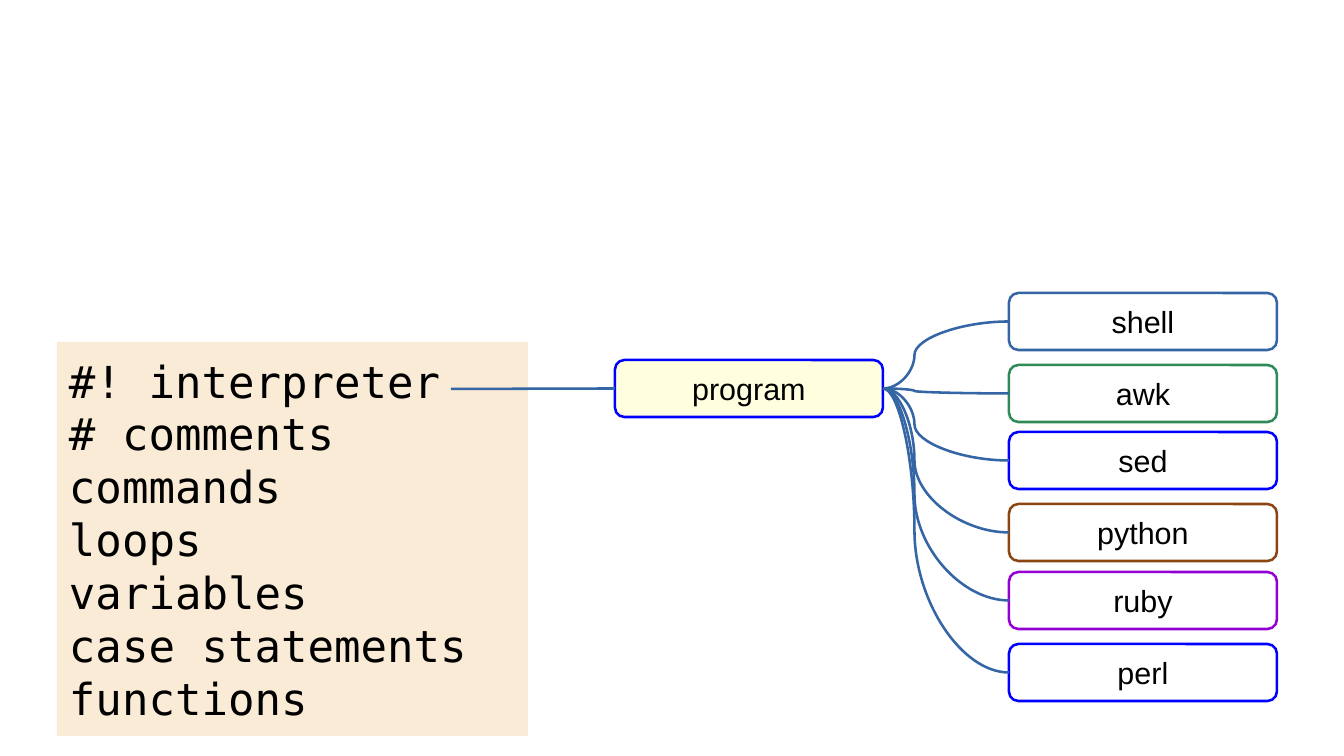
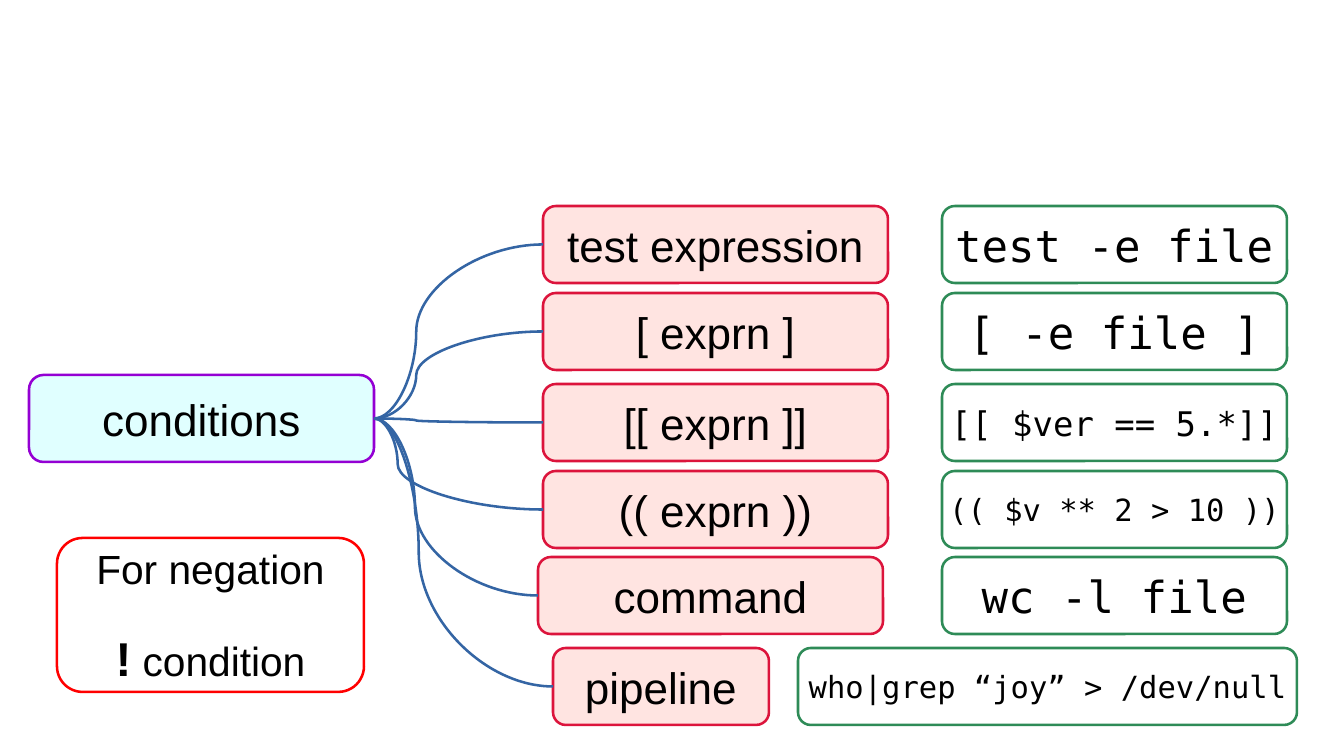
import pptx
import pptx.util
import pptx.dml.color
import pptx.enum.shapes
import pptx.enum.text
import pptx.oxml
import pptx.oxml.ns

PX = 914400 / 122
SANS, MONO = "Arial", "DejaVu Sans Mono"
BLACK, BLUE, LINK = "000000", "0000FF", "3465A4"
GREEN, BROWN, VIOLET = "2E8B57", "8B4513", "9400D3"
RED, CRIMSON, ROSE = "FF0000", "DC143C", "FFE4E1"
LINEN, IVORY, CYAN = "FAEBD7", "FFFFE0", "E0FFFF"
LEFT, RIGHT = 1, 3
SHAPE = pptx.enum.shapes.MSO_SHAPE
CONNECTOR = pptx.enum.shapes.MSO_CONNECTOR
ALIGN = pptx.enum.text.PP_ALIGN


def px(n):
    """Turn pixels into EMU."""
    return pptx.util.Emu(round(n * PX))


def paint(target, colour):
    """Set a fill, or leave it open when no colour is given."""
    if colour is None:
        target.background()
    else:
        target.solid()
        target.fore_color.rgb = pptx.dml.color.RGBColor.from_string(colour)


def outline(line, colour):
    """Give a line its colour and the shared width, or hide it."""
    paint(line.fill, colour)
    if colour is not None:
        line.width = pptx.util.Pt(1.5)


def add_run(p, text, size, font=SANS, bold=False):
    """Add one formatted run to a paragraph."""
    r = p.add_run()
    r.text = text
    r.font.name, r.font.size, r.font.bold = font, pptx.util.Pt(size), bold
    paint(r.font.fill, BLACK)


def panel(s, kind, box, line, fill, insets, wrap):
    """Add a shape without text and set up its text frame."""
    sp = s.shapes.add_shape(kind, *[px(n) for n in box])
    sp.shadow.inherit = False
    paint(sp.fill, fill)
    outline(sp.line, line)
    tf = sp.text_frame
    tf.word_wrap = wrap
    tf.vertical_anchor = pptx.enum.text.MSO_ANCHOR.MIDDLE
    tf.margin_left = tf.margin_right = px(insets[0])
    tf.margin_top = tf.margin_bottom = px(insets[1])
    return sp


def node(s, box, paragraphs, line, fill=None, gap=0):
    """Add a rounded box whose centred paragraphs are lists of runs."""
    sp = panel(s, SHAPE.ROUNDED_RECTANGLE, box, line, fill, (13, 7), False)
    tf = sp.text_frame
    for i, runs in enumerate(paragraphs):
        p = tf.add_paragraph() if i else tf.paragraphs[0]
        p.alignment = ALIGN.CENTER
        p.space_before = pptx.util.Pt(gap if i else 0)
        for run in runs:
            add_run(p, *run)
    return sp


def code_pane(s, box, lines):
    """Add the tinted pane that lists the parts of a script."""
    sp = panel(s, SHAPE.RECTANGLE, box, None, LINEN, (12, 6), True)
    tf = sp.text_frame
    for i, text in enumerate(lines):
        p = tf.add_paragraph() if i else tf.paragraphs[0]
        p.alignment = ALIGN.LEFT
        add_run(p, text, 26, MONO)


def connector(s, kind, x=0, y=0):
    """Add a styled connector that starts at a point."""
    c = s.shapes.add_connector(kind, px(x), px(y), px(x), px(y))
    outline(c.line, LINK)
    c._element.spPr.append(pptx.oxml.parse_xml(
        "<a:effectLst %s/>" % pptx.oxml.ns.nsdecls("a")))
    return c


def branch(s, root, leaf, bend=25):
    """Join root to leaf by a curve that bends at a percentage of its width."""
    c = connector(s, CONNECTOR.CURVE)
    c.begin_connect(root, RIGHT)
    c.end_connect(leaf, LEFT)
    geom = c._element.spPr.find(pptx.oxml.ns.qn("a:prstGeom"))
    for old in list(geom):
        geom.remove(old)
    geom.append(pptx.oxml.parse_xml(
        '<a:avLst %s><a:gd name="adj1" fmla="val %d"/></a:avLst>'
        % (pptx.oxml.ns.nsdecls("a"), bend * 1000)))


def interpreter_tree(s, box, root, leaves):
    """Place one leaf per interpreter in the box and join each to root."""
    x, y, w, h = box
    for top, name, colour in leaves:
        leaf = node(s, (x, y + top, w, h), [[(name, 18)]], colour)
        branch(s, root, leaf)


def condition_tree(s, box, root, rows):
    """Place each kind of condition with its example and join it to root."""
    x, y, w, h = box
    for top, name, shift, width, bend, example, size, ex_x, ex_w in rows:
        leaf = node(s, (x + shift, y + top, width, h), [[(name, 26)]],
                    CRIMSON, ROSE)
        node(s, (x + ex_x, y + top, ex_w, h), [[(example, size, MONO)]], GREEN)
        branch(s, root, leaf, bend)


def script_slide(s):
    """Show the parts of a script and the programs that can run it."""
    code_pane(s, (57, 342, 471, 394), [
        "#! interpreter", "# comments", "commands", "loops", "variables",
        "case statements", "functions"])
    program = node(s, (615, 360, 268, 57), [[("program", 18)]], BLUE, IVORY)
    c = connector(s, CONNECTOR.STRAIGHT, 451, 389)
    c.end_connect(program, LEFT)
    interpreter_tree(s, (1009, 293, 268, 57), program, [
        (0, "shell", LINK), (72, "awk", GREEN), (139, "sed", BLUE),
        (211, "python", BROWN), (279, "ruby", VIOLET), (351, "perl", BLUE)])


def conditions_slide(s):
    """Show the kinds of conditions, an example of each, and negation."""
    root = node(s, (29, 375, 345, 87), [[("conditions", 26)]], VIOLET, CYAN)
    condition_tree(s, (543, 206, 345, 77), root, [
        (0, "test expression", 0, 345, 25, "test -e file", 26, 399, 345),
        (87, "[ exprn ]", 0, 345, 25, "[ -e file ]", 26, 399, 345),
        (178, "[[ exprn ]]", 0, 345, 25, "[[ $ver == 5.*]]", 20, 399, 345),
        (265, "(( exprn ))", 0, 345, 14, "(( $v ** 2 > 10 ))", 18, 399, 345),
        (351, "command", -5, 345, 25, "wc -l file", 26, 399, 345),
        (442, "pipeline", 10, 216, 25, "who|grep “joy” > /dev/null", 18,
         255, 499)])
    node(s, (57, 538, 307, 154), [
        [("For negation", 24)],
        [("!", 28, SANS, True), (" condition", 24)]], RED, gap=22)


def main():
    """Build and save the slides."""
    prs = pptx.Presentation()
    prs.slide_width, prs.slide_height = px(1344), px(756)
    for build in (script_slide, conditions_slide):
        build(prs.slides.add_slide(prs.slide_layouts[6]))
    prs.save("out.pptx")


if __name__ == "__main__":
    main()
